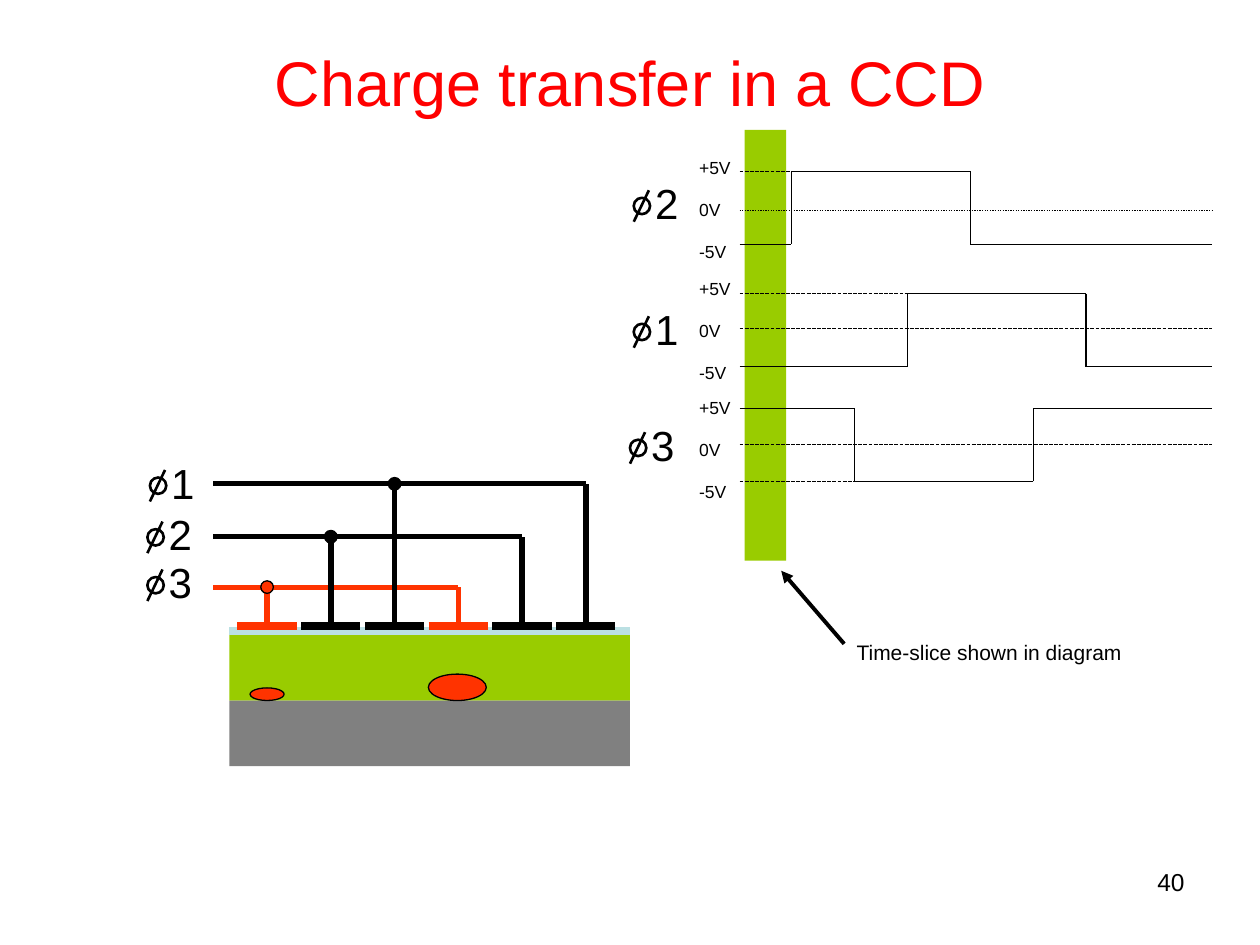
from lxml import etree
from pptx import Presentation
from pptx import util as u
from pptx.dml.color import RGBColor
from pptx.enum import dml, shapes, text
from pptx.oxml.ns import qn

BLACK, RED, LIME = "000000", "FF3300", "99CC00"
DOT = dml.MSO_LINE.ROUND_DOT
DASH = dml.MSO_LINE.SQUARE_DOT
RECT = shapes.MSO_SHAPE.RECTANGLE
OVAL = shapes.MSO_SHAPE.OVAL
LEFT = text.PP_ALIGN.LEFT


def tint(code):
    return RGBColor.from_string(code)


def draw(slide, kind, x, y, w, h, fill=None, line=None, width=0.75):
    part = slide.shapes.add_shape(kind, *map(u.Inches, (x, y, w, h)))
    part.shadow.inherit = False
    if fill:
        part.fill.solid()
        part.fill.fore_color.rgb = tint(fill)
    else:
        part.fill.background()
    if line:
        part.line.color.rgb = tint(line)
        part.line.width = u.Pt(width)
    else:
        part.line.fill.background()


def link(slide, x1, y1, x2, y2, width=0.75, color=BLACK, dash=None, head=False):
    wire = slide.shapes.add_connector(
        shapes.MSO_CONNECTOR.STRAIGHT, *map(u.Inches, (x1, y1, x2, y2)))
    wire.line.color.rgb = tint(color)
    wire.line.width = u.Pt(width)
    if dash:
        wire.line.dash_style = dash
    if head:
        etree.SubElement(wire.line._get_or_add_ln(), qn("a:tailEnd"), type="triangle")
    etree.SubElement(wire._element.spPr, qn("a:effectLst"))


def write(slide, x, y, w, h, lines, size, color=BLACK, align=LEFT, gap=0, wrap=False):
    box = slide.shapes.add_textbox(*map(u.Inches, (x, y, w, h)))
    frame = box.text_frame
    frame.word_wrap = wrap
    frame.text = "\n".join(lines)
    for i, para in enumerate(frame.paragraphs):
        para.alignment = align
        para.space_before = u.Pt(gap if i else 0)
        para.font.size = u.Pt(size)
        para.font.name = "Arial"
        para.font.color.rgb = tint(color)
    return frame


def phase(slide, x, y, digit):
    draw(slide, OVAL, x, y, 0.13, 0.13, line=BLACK, width=1.5)
    link(slide, x + 0.12, y - 0.06, x, y + 0.19, 1.5)
    write(slide, x + 0.07, y - 0.21, 0.38, 0.5, [digit], 24)


def sensor(slide, x, y, w):
    layer, plate, pitch = 0.52, 0.47, 0.506
    top = y - 0.07
    draw(slide, RECT, x, y, w, layer, LIME)
    draw(slide, RECT, x, y + layer, w, layer, "808080")
    link(slide, x, y - 0.03, x + w, y - 0.03, 4.5, "BBE0E3")
    buses = [("3", -0.38, -0.65, -0.46, RED),
             ("2", -0.78, -0.65, -0.84, BLACK),
             ("1", -1.2, -0.63, -1.25, BLACK)]
    for i, (digit, rise, side, drop, color) in enumerate(buses):
        bus = y + rise
        near = x + 0.3 + i * pitch
        far = near + 3 * pitch
        link(slide, far, bus, x - 0.13, bus, 3, color)
        for mid in (near, far):
            link(slide, mid - plate / 2, top, mid + plate / 2, top, 4.5, color)
            link(slide, mid, top, mid, bus, 3, color)
        draw(slide, OVAL, near - 0.05, bus - 0.05, 0.1, 0.1, color, BLACK)
        phase(slide, x + side, y + drop, digit)
    for mid, wide, high in ((0.3, 0.27, 0.1), (1.81, 0.46, 0.21)):
        draw(slide, OVAL, x + mid - wide / 2, y + layer - high, wide, high, RED, BLACK)


def wave(slide, x, y, w, h, digit, rise, zero, mark, side, volts, style, rest):
    low = y + h
    base, peak = (y, low) if digit == "3" else (low, y)
    start, stop = x + rise, x + rise + 1.42
    link(slide, x, y + zero, x + w, y + zero, dash=style)
    link(slide, x, peak, x + rest, peak, dash=DASH)
    link(slide, x, base, start, base)
    link(slide, start, peak, stop, peak)
    link(slide, stop, base, x + w, base)
    for edge in (start, stop):
        link(slide, edge, peak, edge, base)
    write(slide, x - 0.42, y + volts, 0.45, 0.94, ["+5V", "0V", "-5V"], 10, gap=12)
    phase(slide, x + side, y + mark, digit)


def timing(slide, x, y):
    draw(slide, RECT, x + 0.04, y, 0.33, 3.42, LIME)
    rows = [(0.33, "2", 0.41, 0.31, 0.21, -0.84, -0.16, DOT, 0.41),
            (1.3, "1", 1.33, 0.28, 0.24, -0.84, -0.17, DASH, 1.39),
            (2.21, "3", 0.91, 0.29, 0.25, -0.87, -0.14, DASH, 1.39)]
    for top, *row in rows:
        wave(slide, x, y + top, 3.75, 0.58, *row)
    link(slide, x + 0.83, y + 4.08, x + 0.33, y + 3.5, 2.25, head=True)
    write(slide, x + 0.83, y + 4, 2.31, 0.3, ["Time-slice shown in diagram"], 12, wrap=True)


def main():
    deck = Presentation()
    deck.slide_width, deck.slide_height = u.Inches(10), u.Inches(7.5)
    slide = deck.slides.add_slide(deck.slide_layouts[6])
    title = write(slide, 0.5, 0.3, 9, 0.69, ["Charge transfer in a CCD"], 36, "FF0000",
                  text.PP_ALIGN.CENTER, wrap=True)
    title.vertical_anchor = text.MSO_ANCHOR.MIDDLE
    timing(slide, 5.87, 1.03)
    sensor(slide, 1.82, 5.04, 3.18)
    write(slide, 7.17, 6.83, 2.33, 0.52, ["40"], 14, align=text.PP_ALIGN.RIGHT, wrap=True)
    deck.save("out.pptx")


if __name__ == "__main__":
    main()
